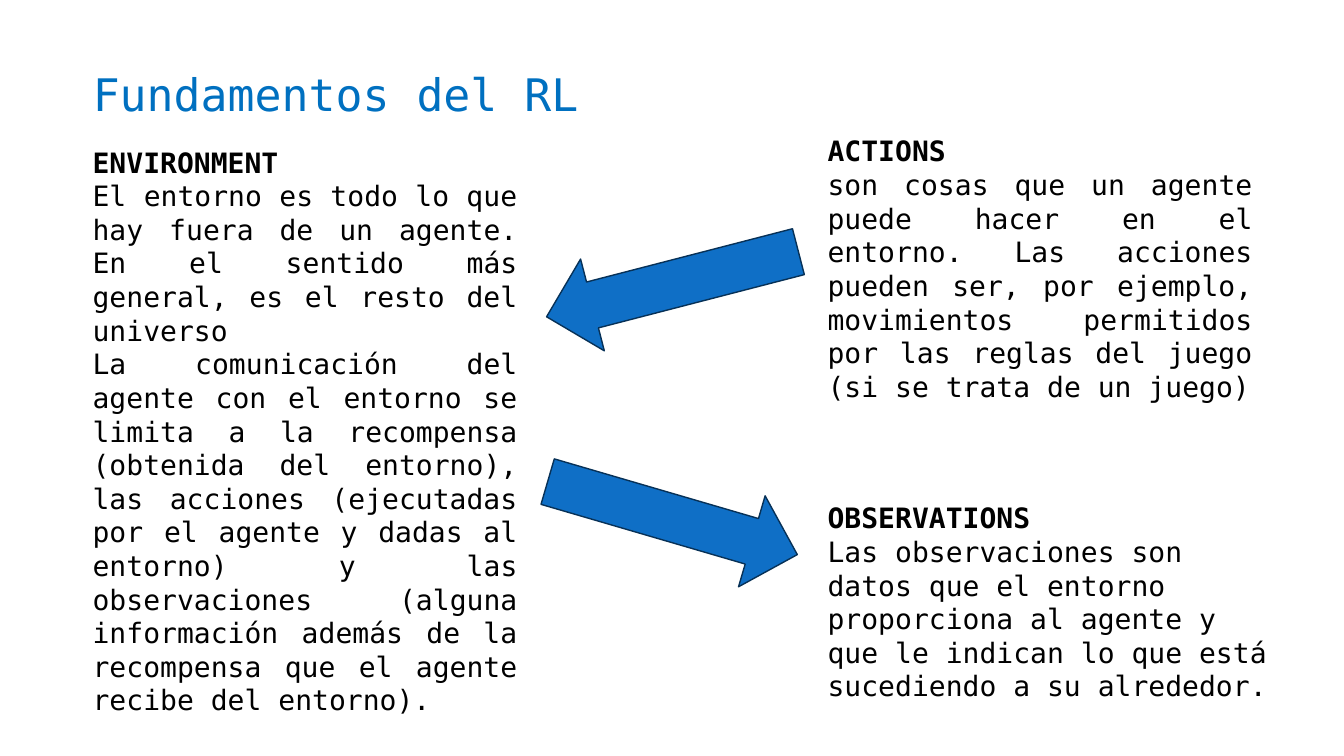
from pptx import Presentation
from pptx.dml.color import RGBColor
from pptx.enum.shapes import MSO_SHAPE
from pptx.enum.text import MSO_ANCHOR, PP_ALIGN
from pptx.util import Inches, Pt

FONT = "DejaVu Sans Mono"
TITLE = "Fundamentos del RL"
LEFT_COLUMN, RIGHT_COLUMN = 0.82, 8.11

# Concepts: (left, top, width, height), alignment, paragraphs of (text, bold) runs
CONCEPTS = [
    ((LEFT_COLUMN, 1.39, 4.41, 5.15), PP_ALIGN.JUSTIFY, [
        [("ENVIRONMENT", True)],
        [("El entorno es todo lo que hay fuera de un agente. En el sentido más "
          "general, es el resto del universo", False)],
        [("La comunicación del agente con el entorno se limita a la recompensa "
          "(obtenida del entorno), las acciones (ejecutadas por el agente y dadas "
          "al entorno) y las observaciones (alguna información además de la "
          "recompensa que el agente recibe del entorno).", False)],
    ]),
    ((RIGHT_COLUMN, 1.28, 4.41, 2.79), PP_ALIGN.JUSTIFY, [
        [("ACTIONS", True)],
        [("son cosas que un agente puede hacer en el entorno. Las acciones pueden "
          "ser, por ejemplo, movimientos permitidos por las reglas del juego (si "
          "se trata de un juego)", False)],
    ]),
    ((RIGHT_COLUMN, 4.92, 4.64, 2.12), PP_ALIGN.LEFT, [
        [("OBSERVATIONS", True)],
        [("Las observaciones son datos que el entorno proporciona al agente y que "
          "le indican lo que está sucediendo a su alrededor.", False)],
    ]),
]

# Arrows between agent and environment: top, rotation
ARROWS = [(2.35, 165.5), (4.67, 16.3)]
ARROW_LEFT, ARROW_WIDTH, ARROW_HEIGHT = 5.38, 2.58, 0.94


def color(hex_string):
    return RGBColor.from_string(hex_string)


def add_run(paragraph, text, size, hex_color, bold=False):
    run = paragraph.add_run()
    run.text = text
    run.font.name = FONT
    run.font.size = Pt(size)
    run.font.bold = bold
    run.font.color.rgb = color(hex_color)


def add_concept(slide, box, alignment, paragraphs):
    frame = slide.shapes.add_textbox(*map(Inches, box)).text_frame
    frame.word_wrap = True
    for index, runs in enumerate(paragraphs):
        paragraph = frame.add_paragraph() if index else frame.paragraphs[0]
        paragraph.alignment = alignment
        for text, bold in runs:
            add_run(paragraph, text, 20, "000000", bold)


def add_arrow(slide, top, rotation):
    arrow = slide.shapes.add_shape(
        MSO_SHAPE.RIGHT_ARROW, Inches(ARROW_LEFT), Inches(top),
        Inches(ARROW_WIDTH), Inches(ARROW_HEIGHT))
    arrow.rotation = rotation
    arrow.shadow.inherit = False
    arrow.fill.solid()
    arrow.fill.fore_color.rgb = color("0F6FC6")
    arrow.line.color.rgb = color("073157")
    arrow.line.width = Pt(1)


def main():
    deck = Presentation()
    deck.slide_width, deck.slide_height = Inches(13.33), Inches(7.5)
    slide = deck.slides.add_slide(deck.slide_layouts[5])

    # Title
    title = slide.shapes.title
    title.left, title.top = Inches(LEFT_COLUMN), Inches(0.67)
    title.width, title.height = Inches(8.86), Inches(1.22)
    title.text_frame.vertical_anchor = MSO_ANCHOR.TOP
    heading = title.text_frame.paragraphs[0]
    heading.alignment = PP_ALIGN.LEFT
    heading.line_spacing = 0.9
    add_run(heading, TITLE, 32, "0070C0")

    # Concepts and arrows
    for concept in CONCEPTS:
        add_concept(slide, *concept)
    for arrow in ARROWS:
        add_arrow(slide, *arrow)

    deck.save("out.pptx")


if __name__ == "__main__":
    main()
